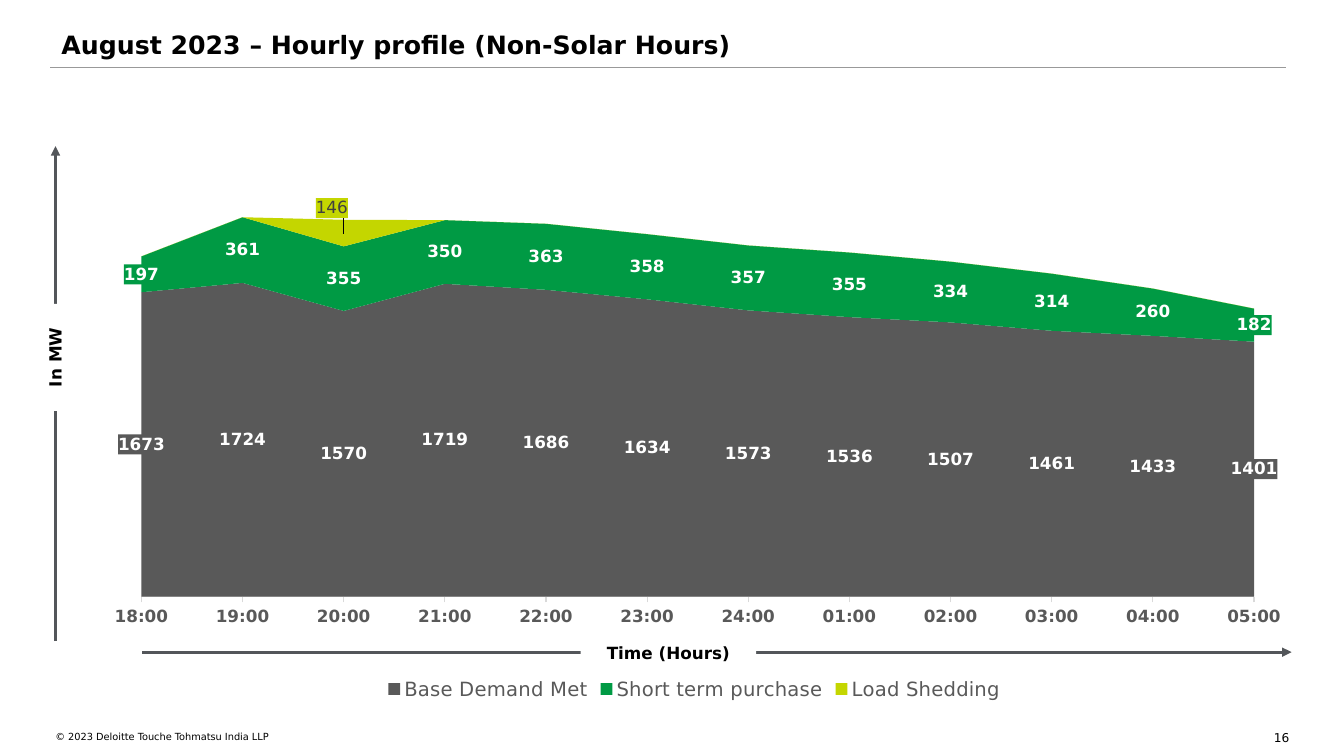
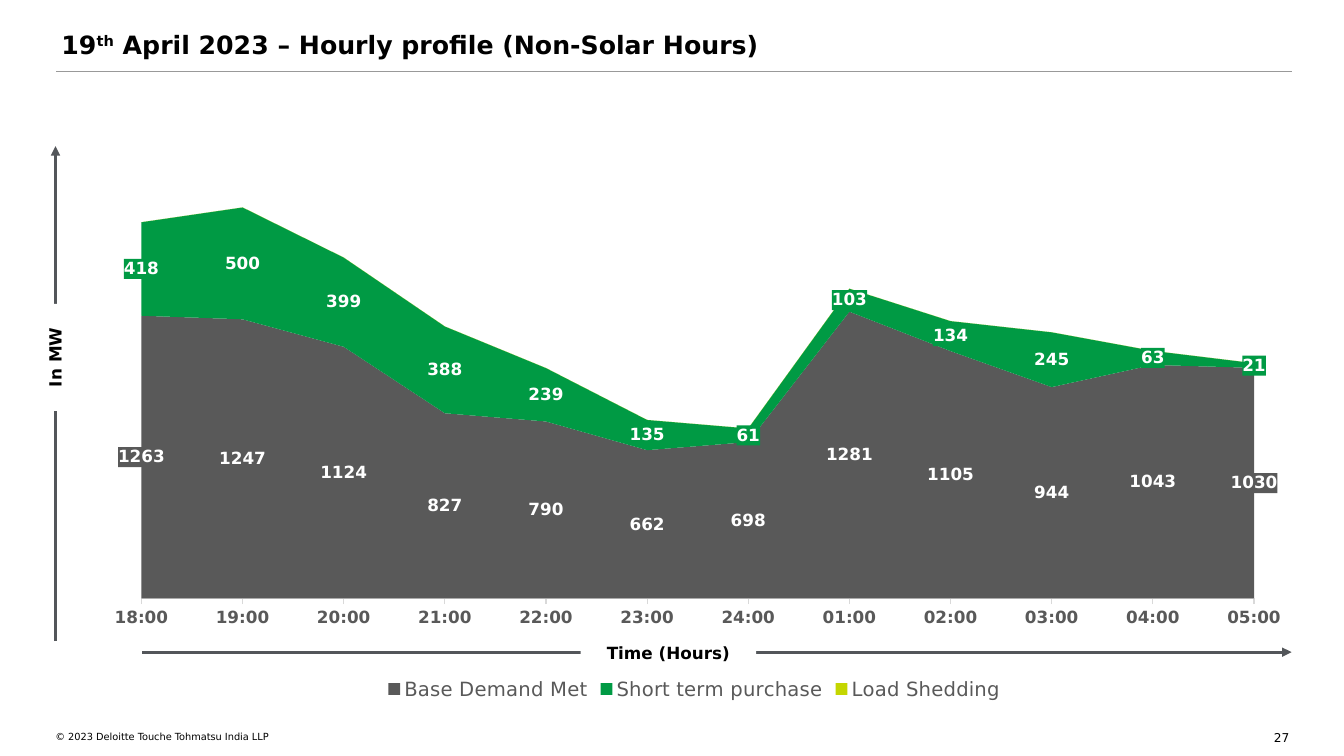
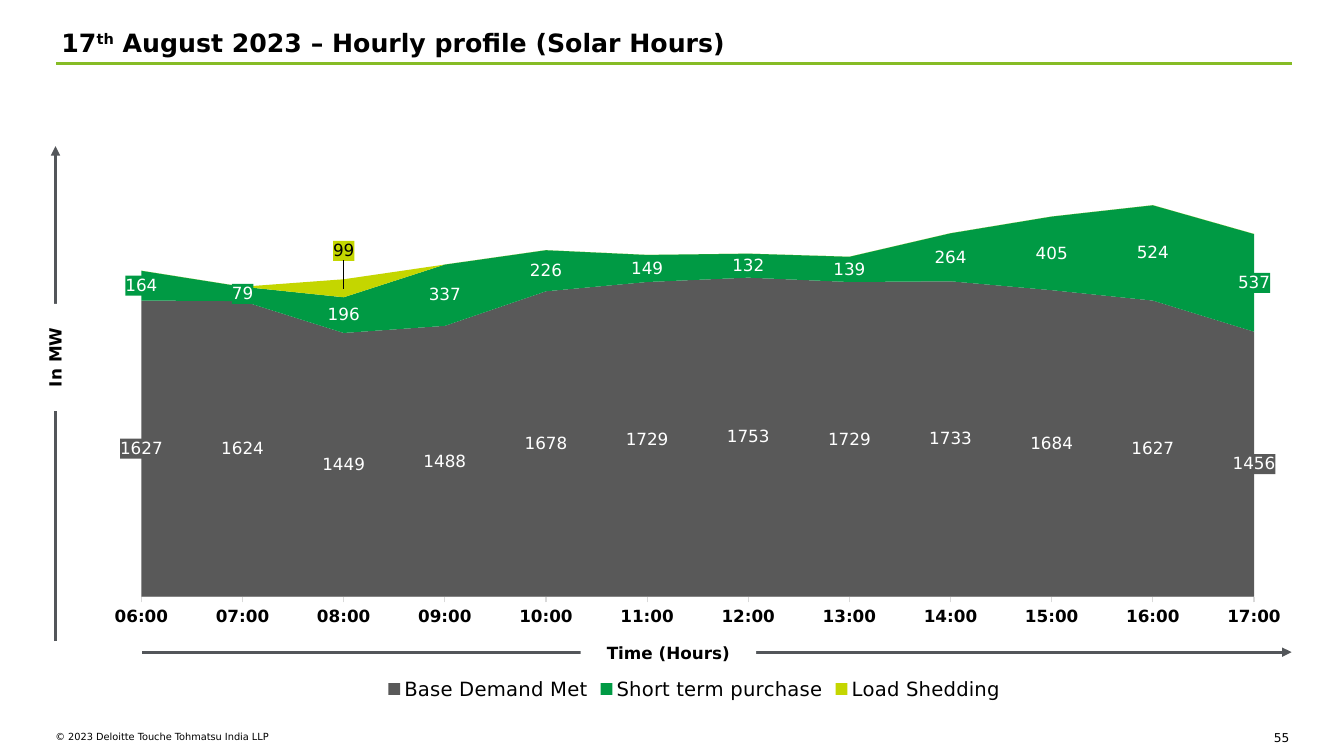
from dataclasses import dataclass

from lxml import etree
from pptx import Presentation
from pptx.chart.data import CategoryChartData
from pptx.dml.color import RGBColor
from pptx.enum.chart import XL_CHART_TYPE as ChartType
from pptx.enum.chart import XL_LEGEND_POSITION as LegendPosition
from pptx.enum.chart import XL_TICK_MARK as TickMark
from pptx.enum.shapes import MSO_CONNECTOR as Connector
from pptx.enum.shapes import MSO_SHAPE as Shape
from pptx.enum.text import MSO_ANCHOR as Anchor
from pptx.enum.text import MSO_AUTO_SIZE as AutoSize
from pptx.enum.text import PP_ALIGN as Align
from pptx.oxml import parse_xml
from pptx.oxml.ns import nsdecls, qn
from pptx.util import Inches, Pt


@dataclass(frozen=True)
class Theme:
    font: str = "DejaVu Sans"
    black: str = "000000"
    white: str = "FFFFFF"
    arrow: str = "53565A"
    axis_line: str = "D9D9D9"
    muted: str = "595959"
    rule_grey: str = "999999"
    rule_green: str = "86BC25"
    dark: str = "404040"
    demand: str = "595959"
    purchase: str = "009A44"
    shedding: str = "C4D600"
    title_size: float = 18
    legend_size: float = 14
    label_size: float = 12
    chart_size: float = 10
    page_size: float = 8.7
    footer_size: float = 7


@dataclass(frozen=True)
class Profile:
    """One day's or month's hourly figures and how its slide is dressed."""
    title: list
    page: int
    first_hour: int
    demand: list
    purchase: list
    axis_max: int
    title_top: float
    rule: tuple  # left, top, colour, width
    chart_top: float = 0.8
    shed: tuple = ()  # position, value, label shift x and y, label colour
    text_colour: str = Theme.muted
    bold_labels: bool = True


NIGHT_TITLE = " – Hourly profile (Non-Solar Hours)"
PROFILES = [
    Profile(
        title=[("August 2023" + NIGHT_TITLE, False)],
        page=16, first_hour=18, axis_max=2500,
        demand=[1673, 1724, 1570, 1719, 1686, 1634, 1573, 1536, 1507, 1461, 1433, 1401],
        purchase=[197, 361, 355, 350, 363, 358, 357, 355, 334, 314, 260, 182],
        title_top=0.29, rule=(0.5, 0.67, Theme.rule_grey, 0.75),
        shed=(2, 146, -0.01, -0.04, Theme.dark),
    ),
    Profile(
        title=[("19", False), ("th", True), (" April 2023" + NIGHT_TITLE, False)],
        page=27, first_hour=18, axis_max=2000,
        demand=[1263, 1247, 1124, 827, 790, 662, 698, 1281, 1105, 944, 1043, 1030],
        purchase=[418, 500, 399, 388, 239, 135, 61, 103, 134, 245, 63, 21],
        title_top=0.29, rule=(0.56, 0.71, Theme.rule_grey, 0.75), chart_top=0.9,
    ),
    Profile(
        title=[("17", False), ("th", True),
               (" August 2023 – Hourly profile (Solar Hours)", False)],
        page=55, first_hour=6, axis_max=2500,
        demand=[1627, 1624, 1449, 1488, 1678, 1729, 1753, 1729, 1733, 1684, 1627, 1456],
        purchase=[164, 79, 196, 337, 226, 149, 132, 139, 264, 405, 524, 537],
        title_top=0.27, rule=(0.56, 0.63, Theme.rule_green, 1.5),
        shed=(2, 99, 0, -0.06, Theme.black),
        text_colour=Theme.black, bold_labels=False,
    ),
]


def hours_from(first):
    """Twelve clock labels; midnight reads 24:00."""
    return [f"{(first + step - 1) % 24 + 1:02d}:00" for step in range(12)]


def manual_layout(**values):
    layout = etree.Element(qn("c:layout"))
    manual = etree.SubElement(layout, qn("c:manualLayout"))
    for tag, value in values.items():
        etree.SubElement(manual, qn(f"c:{tag}")).set("val", str(value))
    return layout


def fill_behind_text(parent, colour=None):
    """Give a chart part a plain fill, or none, ahead of its text properties."""
    fill = (f'<a:solidFill><a:srgbClr val="{colour}"/></a:solidFill>'
            if colour else "<a:noFill/>")
    parent.find(qn("c:txPr")).addprevious(
        parse_xml(f'<c:spPr {nsdecls("c", "a")}>{fill}<a:ln><a:noFill/></a:ln></c:spPr>'))


class Deck:
    def __init__(self, theme):
        self.theme = theme
        self.prs = Presentation()
        self.prs.slide_width = Inches(13.33)
        self.prs.slide_height = Inches(7.5)
        self.slide = None

    def style(self, font, size, colour, bold=False):
        font.name = self.theme.font
        font.size = Pt(size)
        font.bold = bold
        font.color.rgb = RGBColor.from_string(colour)

    def add_runs(self, frame, runs, size, bold=False, align=Align.LEFT,
                 anchor=Anchor.TOP, inset=0, spacing=None):
        """Fill a frame with one paragraph of (text, superscript) runs."""
        frame.word_wrap = True
        frame.auto_size = AutoSize.NONE
        frame.vertical_anchor = anchor
        frame.margin_left = frame.margin_right = Inches(inset)
        frame.margin_top = frame.margin_bottom = Inches(inset)
        paragraph = frame.paragraphs[0]
        paragraph.alignment = align
        if spacing:
            paragraph.line_spacing = spacing
        for text, superscript in runs:
            run = paragraph.add_run()
            run.text = text
            self.style(run.font, size, self.theme.black, bold)
            if superscript:
                run.font._element.set("baseline", "30000")

    def start(self, title, top):
        self.slide = self.prs.slides.add_slide(self.prs.slide_layouts[5])
        heading = self.slide.shapes.title
        heading.left, heading.top = Inches(0.61), Inches(top)
        heading.width, heading.height = Inches(12.21), Inches(0.38)
        self.add_runs(heading.text_frame, title, self.theme.title_size, bold=True)

    def text(self, text, left, top, width, height, size, align=Align.LEFT):
        box = self.slide.shapes.add_textbox(
            Inches(left), Inches(top), Inches(width), Inches(height))
        self.add_runs(box.text_frame, [(text, False)], size, align=align)

    def footer(self, page):
        self.text("© 2023 Deloitte Touche Tohmatsu India LLP",
                  0.55, 7.25, 5.86, 0.22, self.theme.footer_size)
        self.text(str(page), 12.45, 7.25, 0.34, 0.11, self.theme.page_size, Align.RIGHT)

    def line(self, x1, y1, x2, y2, colour, width, arrow=False):
        line = self.slide.shapes.add_connector(
            Connector.STRAIGHT, Inches(x1), Inches(y1), Inches(x2), Inches(y2))
        line.line.color.rgb = RGBColor.from_string(colour)
        line.line.width = Pt(width)
        properties = line._element.spPr
        if arrow:
            etree.SubElement(properties.find(qn("a:ln")), qn("a:tailEnd")).set("type", "triangle")
        etree.SubElement(properties, qn("a:effectLst"))

    def axis_label(self, text, left, top, width, height, rotation=0):
        label = self.slide.shapes.add_shape(
            Shape.RECTANGLE, Inches(left), Inches(top), Inches(width), Inches(height))
        label.shadow.inherit = False
        label.fill.solid()
        label.fill.fore_color.rgb = RGBColor.from_string(self.theme.white)
        label.line.fill.background()
        label.rotation = rotation
        self.add_runs(label.text_frame, [(text, False)], self.theme.label_size, bold=True,
                      align=Align.CENTER, anchor=Anchor.MIDDLE, inset=0.1, spacing=1.06)

    def axis_arrows(self):
        self.line(1.41, 6.47, 12.81, 6.47, self.theme.arrow, 2.25, arrow=True)
        self.axis_label("Time (Hours)", 5.76, 6.34, 1.74, 0.26)
        self.line(0.55, 6.36, 0.55, 1.45, self.theme.arrow, 2.25, arrow=True)
        self.axis_label("In MW", 0.01, 3.34, 1.06, 0.41, rotation=270)

    def value_labels(self, series, colour, bold):
        labels = series.data_labels
        labels.show_value = True
        labels.number_format = "0"
        labels.number_format_is_linked = False
        self.style(labels.font, self.theme.label_size, self.theme.white, bold)
        fill_behind_text(labels._element, colour)

    def shed_label(self, series, position, shift_x, shift_y, colour):
        """Label only the hour with load shedding, moved off its area."""
        series.data_labels.show_value = False
        self.style(series.points[position].data_label.font, self.theme.label_size, colour)
        label = series._element.find(".//" + qn("c:dLbl"))
        fill_behind_text(label, self.theme.shedding)
        label.insert(1, manual_layout(x=shift_x, y=shift_y))

    def hourly_chart(self, profile):
        theme = self.theme
        shedding = [0] * 12
        if profile.shed:
            position, value, *label_style = profile.shed
            shedding[position] = value
        data = CategoryChartData(number_format="0")
        data.categories = hours_from(profile.first_hour)
        data.add_series("Base Demand Met", profile.demand)
        data.add_series("Short term purchase", profile.purchase)
        data.add_series("Load Shedding", shedding)
        chart = self.slide.shapes.add_chart(
            ChartType.AREA_STACKED, Inches(0.99), Inches(profile.chart_top),
            Inches(11.79), Inches(6.99 - profile.chart_top), data).chart
        chart.has_title = False
        self.style(chart.font, theme.chart_size, theme.black)
        fill_behind_text(chart._chartSpace)

        plot_area = chart._chartSpace.chart.plotArea
        for layout in plot_area.findall(qn("c:layout")):
            plot_area.remove(layout)
        plot_area.insert(0, manual_layout(
            layoutTarget="inner", xMode="edge", yMode="edge",
            x=0.035, y=0.098, w=0.936, h=0.729))

        chart.has_legend = True
        chart.legend.position = LegendPosition.BOTTOM
        chart.legend.include_in_layout = False
        self.style(chart.legend.font, theme.legend_size, profile.text_colour)

        hours = chart.category_axis
        hours.has_major_gridlines = False
        hours.major_tick_mark = TickMark.OUTSIDE
        hours.format.line.color.rgb = RGBColor.from_string(theme.axis_line)
        hours.format.line.width = Pt(0.75)
        self.style(hours.tick_labels.font, theme.label_size, profile.text_colour, bold=True)
        megawatts = chart.value_axis
        megawatts.has_major_gridlines = False
        megawatts.minimum_scale, megawatts.maximum_scale = 0, profile.axis_max
        megawatts.visible = False
        megawatts._element.find(qn("c:crossBetween")).set("val", "midCat")

        plot = chart.plots[0]
        plot.vary_by_categories = False
        demand, purchase, shed = plot.series
        for series, colour in ((demand, theme.demand), (purchase, theme.purchase),
                               (shed, theme.shedding)):
            series.format.fill.solid()
            series.format.fill.fore_color.rgb = RGBColor.from_string(colour)
            series.format.line.fill.background()
        self.value_labels(demand, theme.demand, profile.bold_labels)
        self.value_labels(purchase, theme.purchase, profile.bold_labels)
        if profile.shed:
            self.shed_label(shed, position, *label_style)

    def profile_slide(self, profile):
        self.start(profile.title, profile.title_top)
        self.footer(profile.page)
        left, top, colour, width = profile.rule
        self.line(left, top, left + 12.25, top, colour, width)
        self.axis_arrows()
        self.hourly_chart(profile)


def main():
    deck = Deck(Theme())
    for profile in PROFILES:
        deck.profile_slide(profile)
    deck.prs.save("out.pptx")


if __name__ == "__main__":
    main()
